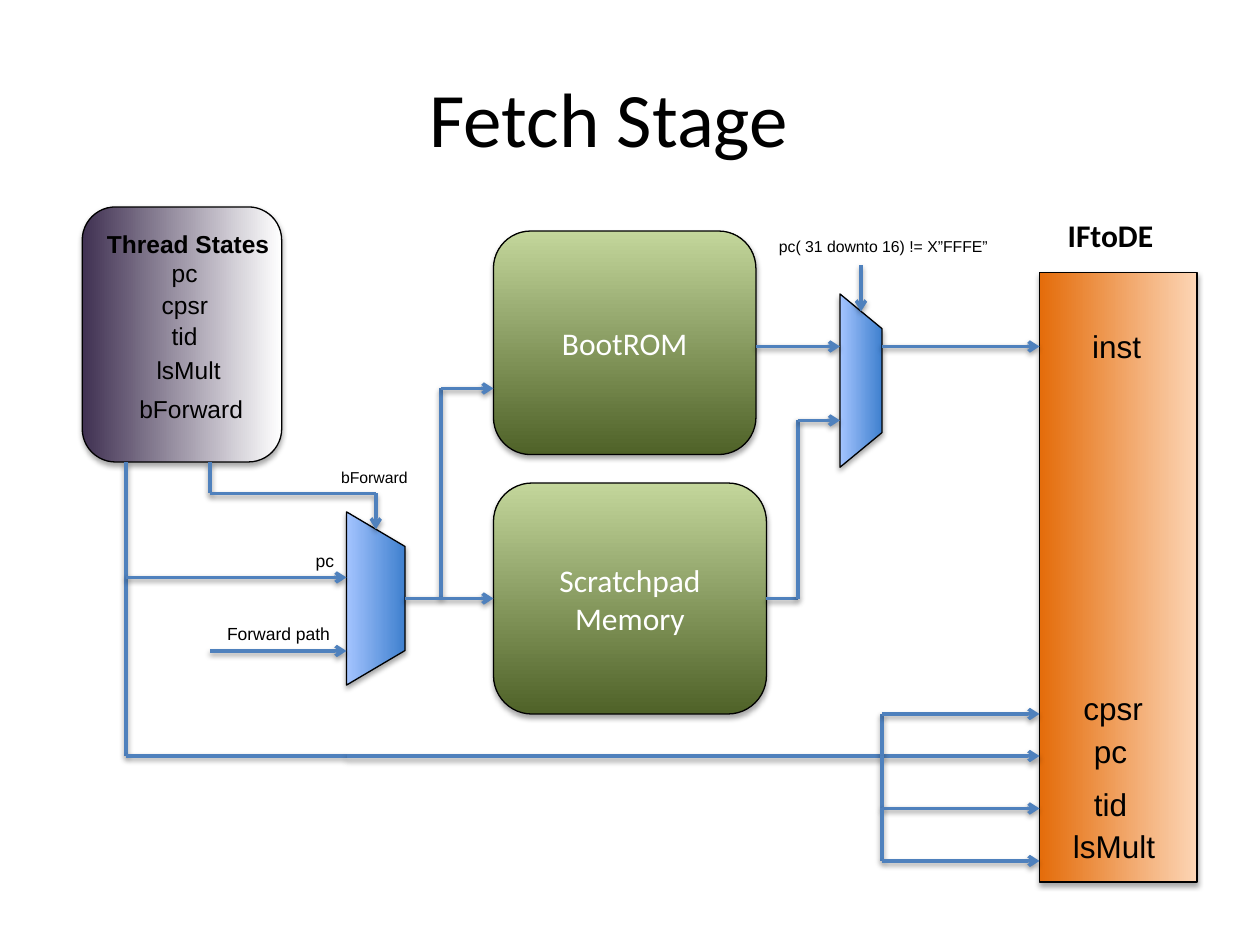
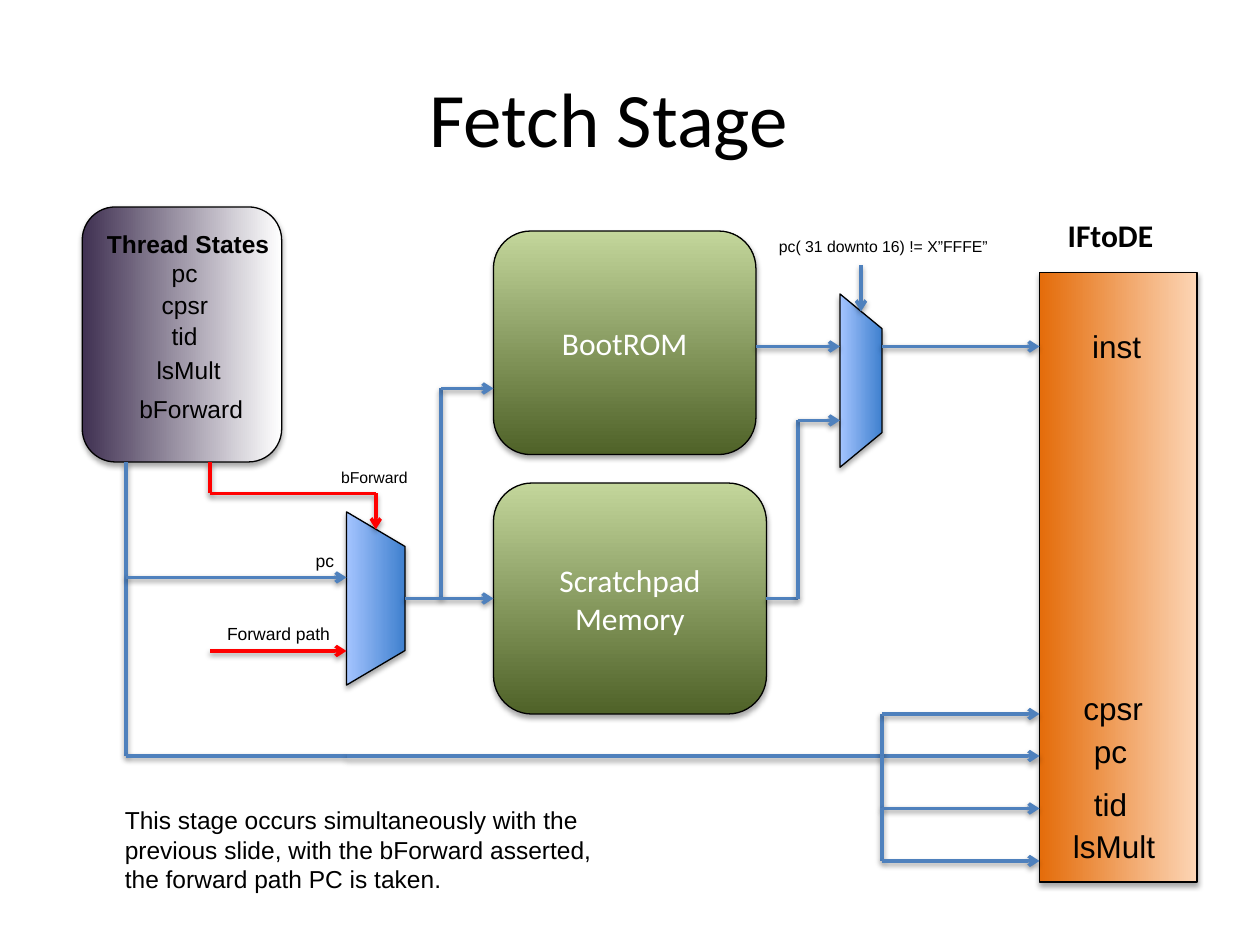
"""Build two slides of the fetch stage datapath."""
from lxml.etree import SubElement
from pptx import Presentation
from pptx.dml.color import RGBColor
from pptx.enum.shapes import MSO_CONNECTOR, MSO_SHAPE
from pptx.enum.text import MSO_ANCHOR, MSO_AUTO_SIZE, PP_ALIGN
from pptx.oxml.ns import qn
from pptx.util import Pt

COLORS = {
    "black": "000000", "white": "FFFFFF", "wire": "4F81BD", "active": "FF0000",
    "orange": "E46C0A", "peach": "FCD5B5", "olive": "4F6228", "lime": "C3D69B",
    "blue": "3F80CE", "sky": "A4C4FF", "plum": "403152",
}
RGB = {name: RGBColor.from_string(value) for name, value in COLORS.items()}
LEFT, RIGHT = PP_ALIGN.LEFT, PP_ALIGN.RIGHT

# key, preset, left, top, width, height, gradient start, gradient end, angle, text
BLOCKS = [
    ("IFtoDE", MSO_SHAPE.RECTANGLE, 594, 155.75, 90, 348.25, "orange", "peach", 0, ""),
    ("BootROM", MSO_SHAPE.ROUNDED_RECTANGLE, 282, 132, 150, 127.75, "olive", "lime", 90, "BootROM"),
    ("Scratchpad", MSO_SHAPE.ROUNDED_RECTANGLE, 282, 276, 156, 132, "olive", "lime", 90,
     "Scratchpad Memory"),
    ("Thread States", MSO_SHAPE.ROUNDED_RECTANGLE, 47, 118.25, 114, 145.75, "plum", "white", 0, ""),
    ("Memory mux", MSO_SHAPE.FLOWCHART_MANUAL_OPERATION, 480, 168, 24, 99, "blue", "sky", 90, ""),
    ("PC mux", MSO_SHAPE.FLOWCHART_MANUAL_OPERATION, 198, 292.5, 33.5, 99, "blue", "sky", 90, ""),
]
PLAIN_WIRES = [
    [(198, 432), (594, 432)],
    [(72, 330), (198, 330)],
    [(252, 342), (252, 222), (282, 222)],
    [(432, 198), (480, 198)],
    [(504, 198), (594, 198)],
    [(504, 432), (504, 408), (594, 408)],
    [(504, 432), (504, 462), (594, 462)],
    [(504, 462), (504, 492), (594, 492)],
    [(492, 151.5), (492, 178)],
]
FORWARD_WIRES = [
    [(120, 372), (198, 372)],
    [(120, 264), (120, 282), (214.75, 282), (214.75, 302.5)],
]
# font, size, bold, alignment, then text, left, top and width of each label
LABELS = [
    ("Calibri", 18, True, LEFT, [("IFtoDE", 603, 120, 64)]),
    ("Arial", 18, False, LEFT, [
        ("inst", 617, 183.5, 42.5), ("cpsr", 612, 390, 49), ("pc", 618, 414.5, 34),
        ("tid", 618, 445, 34), ("lsMult", 606, 469, 62)]),
    ("Arial", 14, True, LEFT, [("Thread States", 54, 127.5, 121)]),
    ("Arial", 14, False, RIGHT, [
        ("pc", 90.5, 144, 29.5), ("cpsr", 84, 162, 42), ("tid", 90.5, 180, 29.5),
        ("lsMult", 81.25, 199.5, 52), ("bForward", 72, 221.5, 74)]),
    ("Arial", 10, False, RIGHT, [("pc", 172, 310.5, 26), ("Forward path", 101.5, 352.5, 94)]),
    ("Arial", 9, False, RIGHT, [("bForward", 187, 263.5, 53)]),
    ("Arial", 9, False, LEFT, [("pc( 31 downto 16) != X”FFFE”", 438, 132, 154)]),
]
WIDE = ("Thread States", "Forward path", "pc( 31 downto 16) != X”FFFE”")
NOTE = ("This stage occurs simultaneously with the\n"
        "previous slide, with the bForward asserted,\n"
        "the forward path PC is taken.")
NOTE_LABEL = ("Arial", 14, False, LEFT, [(NOTE, 64.25, 456.75, 283)])


def add_shadow(shape, alpha, distance):
    effects = SubElement(shape.element.spPr, qn("a:effectLst"))
    shadow = SubElement(effects, qn("a:outerShdw"), blurRad=str(Pt(3.1)), dist=str(Pt(distance)),
                        dir="5400000", rotWithShape="0")
    color = SubElement(shadow, qn("a:srgbClr"), val=COLORS["black"])
    SubElement(color, qn("a:alpha"), val=str(alpha * 1000))


def add_wire(s, points, color, arrow=True):
    parts = []
    for (x1, y1), (x2, y2) in zip(points, points[1:]):
        c = s.shapes.add_connector(MSO_CONNECTOR.STRAIGHT, Pt(x1), Pt(y1), Pt(x2), Pt(y2))
        c.line.color.rgb = RGB[color]
        c.line.width = Pt(2)
        add_shadow(c, 38, 1.6)
        parts.append(c)
    if arrow:
        SubElement(parts[-1].element.spPr.find(qn("a:ln")), qn("a:tailEnd"), type="arrow")
    return parts


prs = Presentation()
prs.slide_width, prs.slide_height = Pt(720), Pt(540)

for forward_color, extra_labels in [("wire", []), ("active", [NOTE_LABEL])]:
    s = prs.slides.add_slide(prs.slide_layouts[5])
    title = s.shapes.title
    title.left, title.top, title.width, title.height = Pt(24), Pt(21.5), Pt(648), Pt(90)
    title.text_frame.text = "Fetch Stage"
    title.text_frame.vertical_anchor = MSO_ANCHOR.MIDDLE
    p = title.text_frame.paragraphs[0]
    p.alignment = PP_ALIGN.CENTER
    p.font.name, p.font.size = "Calibri", Pt(44)
    p.font.color.rgb = RGB["black"]

    blocks = {}
    for key, preset, x, y, w, h, start, end, angle, text in BLOCKS:
        turned = preset == MSO_SHAPE.FLOWCHART_MANUAL_OPERATION
        if turned:
            x, y, w, h = x + (w - h) / 2, y + (h - w) / 2, h, w
        sp = s.shapes.add_shape(preset, Pt(x), Pt(y), Pt(w), Pt(h))
        sp.rotation = 270 if turned else 0
        sp.fill.gradient()
        sp.fill.gradient_angle = angle
        for stop, color in zip(sp.fill.gradient_stops, (start, end)):
            stop.color.rgb = RGB[color]
        sp.line.color.rgb = RGB["black"]
        sp.line.width = Pt(0.75)
        add_shadow(sp, 35, 1.8)
        if text:
            sp.text_frame.text = text
            sp.text_frame.vertical_anchor = MSO_ANCHOR.MIDDLE
            p = sp.text_frame.paragraphs[0]
            p.alignment = PP_ALIGN.CENTER
            p.font.name, p.font.size = "Calibri", Pt(18)
            p.font.color.rgb = RGB["white"]
        blocks[key] = sp

    add_wire(s, [(72, 264), (72, 432), (198, 432)], "wire", arrow=False)
    for points in PLAIN_WIRES:
        add_wire(s, points, "wire")
    for points in FORWARD_WIRES:
        add_wire(s, points, forward_color)
    address = add_wire(s, [(231.5, 342), (282, 342)], "wire")
    address[-1].end_connect(blocks["Scratchpad"], 1)
    data = add_wire(s, [(438, 342), (456, 342), (456, 240.25), (480, 240.25)], "wire")
    data[0].begin_connect(blocks["Scratchpad"], 3)

    for font, size, bold, align, labels in LABELS + extra_labels:
        for text, x, y, w in labels:
            height = 1.2 * size * len(text.split("\n")) + 7.2
            tf = s.shapes.add_textbox(Pt(x), Pt(y), Pt(w), Pt(height)).text_frame
            tf.word_wrap = text in WIDE
            tf.auto_size = MSO_AUTO_SIZE.SHAPE_TO_FIT_TEXT
            tf.text = text
            for p in tf.paragraphs:
                p.alignment = align
                p.font.name, p.font.size, p.font.bold = font, Pt(size), bold
                p.font.color.rgb = RGB["black"]

prs.save("out.pptx")
